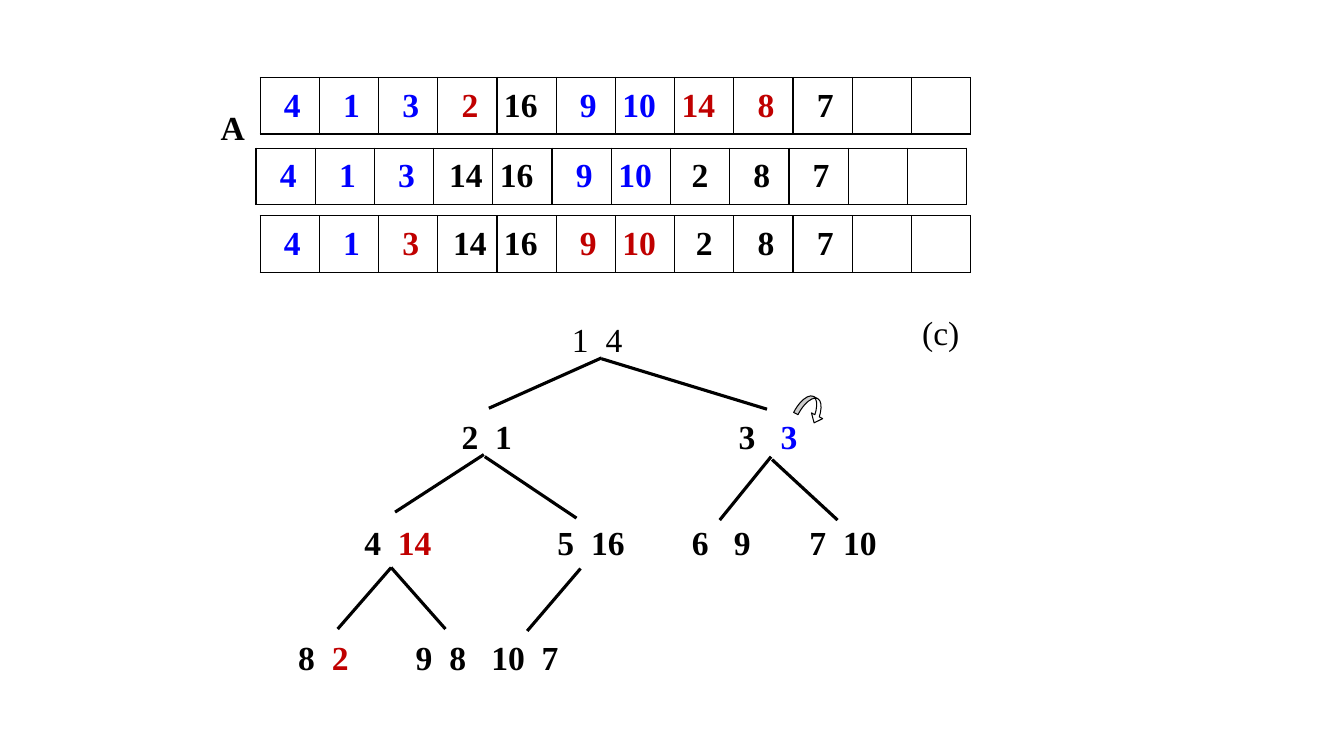
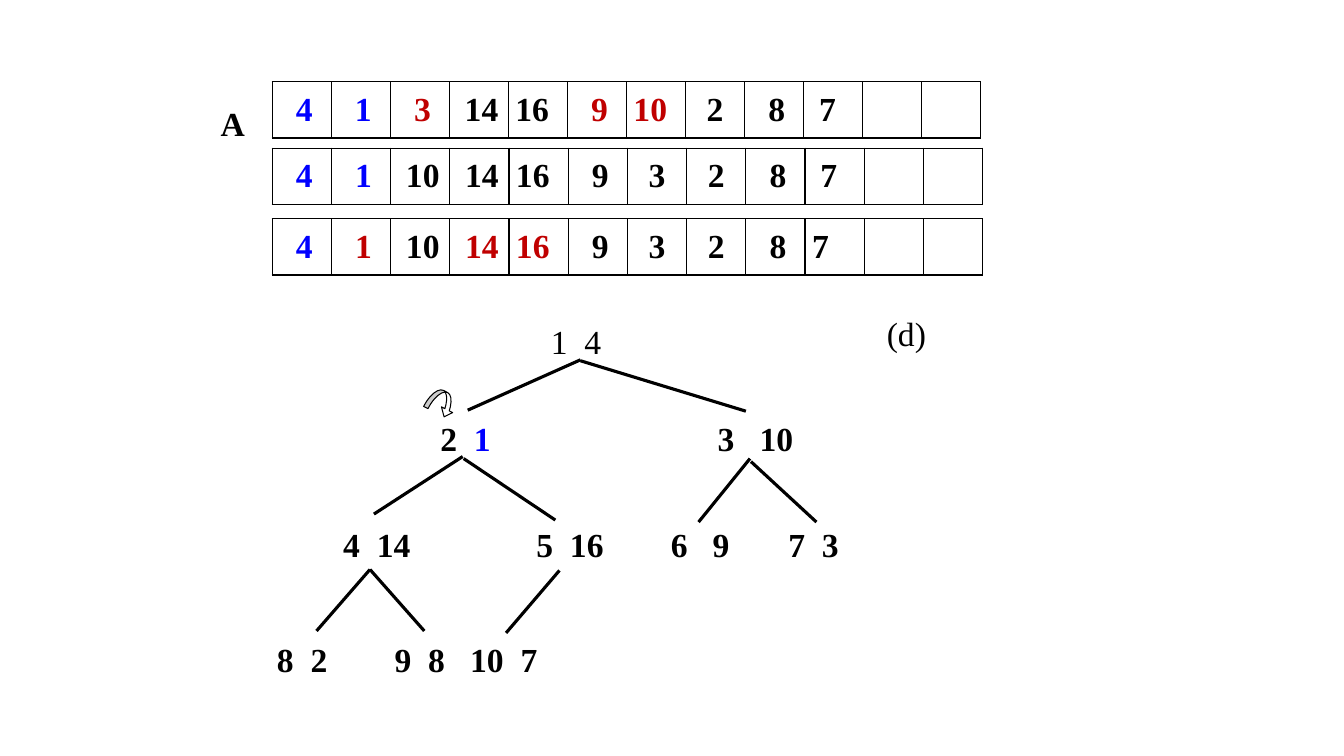
from lxml import etree
from pptx import Presentation
from pptx.dml.color import RGBColor
from pptx.enum import shapes, text
from pptx.oxml import ns
from pptx.util import Pt

BLACK = RGBColor(0, 0, 0)
BLUE = RGBColor(0, 0, 255)
RED = RGBColor(192, 0, 0)
WHITE = RGBColor(255, 255, 255)
COLOURS = {"K": BLACK, "B": BLUE, "R": RED}
FONT = "Times New Roman"
SLOTS = 12
ROW_HEIGHT = 40.3
CELL_MARGIN = 5
BOX_HEIGHT = 36

SLIDES = [
    dict(
        arrays=[
            (185.8, 55.4, 42.3, 12, [4, 1, 3, 2, 16, 9, 10, 14, 8, 7], "BBBRKBBRRK"),
            (182.9, 105.8, 42.3, 12, [4, 1, 3, 14, 16, 9, 10, 2, 8, 7], "BBBKKBBKKK"),
            (185.8, 154.1, 42.3, 12, [4, 1, 3, 14, 16, 9, 10, 2, 8, 7], "BBRKKRRKKK"),
        ],
        name_top=72.7,
        label=("(c)", 651.6, 219.6),
        arrow=(571.7, 281.5),
        tree_shift=(0, 0),
        tree_colours={3: BLUE, 4: RED, 8: RED},
    ),
    dict(
        arrays=[
            (194.4, 58.3, 42.18, 6, [4, 1, 3, 14, 16, 9, 10, 2, 8, 7], "BBRKKRRKKK"),
            (194.4, 105.8, 42.3, 6, [4, 1, 10, 14, 16, 9, 3, 2, 8, 7], "BBKKKKKKKK"),
            (194.4, 156.2, 42.3, 0, [4, 1, 10, 14, 16, 9, 3, 2, 8, 7], "BRKRRKKKKK"),
        ],
        name_top=69.8,
        label=("(d)", 626.4, 220.3),
        arrow=(307.4, 277.2),
        tree_shift=(-15.1, 1.4),
        tree_colours={2: BLUE},
    ),
]

LEVELS = [
    (range(1, 2), 395.3, 224.6, 56.9, 13.2, [24]),
    (range(2, 4), 322.6, 293.8, 275.8, 7.2, [24, 198, 228]),
    (range(4, 8), 247, 369.4, 418.3, 13.2, [24, 138, 162, 234, 264, 318, 342]),
    (range(8, 11), 205.9, 451.4, 326.2, 7.2, [24, 84, 108, 138, 174]),
]
EDGES = [
    (429.8, 255.6, 349.2, 291.6),
    (429.8, 256.3, 547.9, 292.3),
    (345.6, 324.7, 282.2, 365.8),
    (346.3, 326.2, 411.8, 370.1),
    (550.8, 326.2, 514.1, 371.5),
    (551.5, 328.3, 598.3, 371.5),
    (279.4, 405.4, 241.2, 449.3),
    (279.4, 405.4, 318.2, 449.3),
    (414.7, 406.1, 376.6, 450.7),
]


def write(paragraph, content, colour=BLACK, bold=True):
    run = paragraph.add_run()
    run.text = content
    run.font.name = FONT
    run.font.size = Pt(24)
    run.font.bold = bold
    run.font.color.rgb = colour


def add_box(slide, left, top, width, inset=7.2, anchor=text.MSO_ANCHOR.TOP):
    box = slide.shapes.add_textbox(Pt(left), Pt(top), Pt(width), Pt(BOX_HEIGHT))
    frame = box.text_frame
    frame.word_wrap = True
    frame.margin_left = Pt(inset)
    frame.vertical_anchor = anchor
    return frame.paragraphs[0]


def set_tabs(paragraph, stops):
    tabs = etree.SubElement(paragraph._p.get_or_add_pPr(), ns.qn("a:tabLst"))
    for stop in stops:
        etree.SubElement(tabs, ns.qn("a:tab"), pos=str(Pt(stop)), algn="l")


def add_borders(cell):
    properties = cell._tc.get_or_add_tcPr()
    for side in ("lnL", "lnR", "lnT", "lnB"):
        line = etree.SubElement(properties, ns.qn("a:" + side), w=str(Pt(1)))
        fill = etree.SubElement(line, ns.qn("a:solidFill"))
        etree.SubElement(fill, ns.qn("a:srgbClr"), val=str(BLACK))


def add_array(slide, left, top, column_width, last_indent, values, colours):
    table = slide.shapes.add_table(
        1, SLOTS, Pt(left), Pt(top), Pt(SLOTS * column_width), Pt(ROW_HEIGHT)
    ).table
    table.first_row = table.horz_banding = False
    for index in range(SLOTS):
        table.columns[index].width = Pt(column_width)
        cell = table.cell(0, index)
        add_borders(cell)
        cell.fill.solid()
        cell.fill.fore_color.rgb = WHITE
        cell.vertical_anchor = text.MSO_ANCHOR.MIDDLE
        cell.margin_top = cell.margin_bottom = 0
        cell.margin_left = cell.margin_right = Pt(CELL_MARGIN)
        if index >= len(values):
            continue
        paragraph = cell.text_frame.paragraphs[0]
        write(paragraph, str(values[index]), COLOURS[colours[index]])
        if values[index] >= 10:
            indent = 6 if index in (2, 3) else 0
        elif index in (6, 7):
            indent = 0
            paragraph.alignment = text.PP_ALIGN.CENTER
        else:
            indent = last_indent if index == len(values) - 1 else 12
        cell.margin_left = Pt(CELL_MARGIN + indent)


def add_edge(slide, x1, y1, x2, y2):
    edge = slide.shapes.add_connector(
        shapes.MSO_CONNECTOR.STRAIGHT, Pt(x1), Pt(y1), Pt(x2), Pt(y2)
    )
    edge.line.color.rgb = BLACK
    edge.line.width = Pt(2.25)
    etree.SubElement(edge._element.spPr, ns.qn("a:effectLst"))


def add_tree(slide, keys, shift, colours):
    dx, dy = shift
    for x1, y1, x2, y2 in EDGES:
        add_edge(slide, x1 + dx, y1 + dy, x2 + dx, y2 + dy)
    for nodes, left, top, width, inset, stops in LEVELS:
        is_root = 1 in nodes
        anchor = text.MSO_ANCHOR.TOP if is_root else text.MSO_ANCHOR.MIDDLE
        paragraph = add_box(slide, left + dx, top + dy, width, inset, anchor)
        set_tabs(paragraph, stops)
        for node in nodes:
            separator = "" if node == nodes[0] else "\t"
            write(paragraph, f"{separator}{node}\t", bold=not is_root)
            write(paragraph, str(keys[node - 1]), colours.get(node, BLACK), not is_root)


def add_arrow(slide, left, top):
    arrow = slide.shapes.add_shape(
        shapes.MSO_SHAPE.CURVED_LEFT_ARROW, Pt(left), Pt(top), Pt(16.6), Pt(20.9)
    )
    arrow.rotation = 297
    for index, value in enumerate((0.21, 0.54, 0.33)):
        arrow.adjustments[index] = value
    arrow.shadow.inherit = False
    arrow.fill.solid()
    arrow.fill.fore_color.rgb = WHITE
    arrow.line.color.rgb = BLACK
    arrow.line.width = Pt(0.75)


presentation = Presentation()
presentation.slide_width = Pt(960)
presentation.slide_height = Pt(540)
for content in SLIDES:
    slide = presentation.slides.add_slide(presentation.slide_layouts[6])
    heap = content["arrays"][-1][4]
    add_tree(slide, heap, content["tree_shift"], content["tree_colours"])
    label, left, top = content["label"]
    write(add_box(slide, left, top, 47.5), label, bold=False)
    add_arrow(slide, *content["arrow"])
    write(add_box(slide, 150.5, content["name_top"], 32.4), "A")
    for array in content["arrays"]:
        add_array(slide, *array)
presentation.save("out.pptx")
